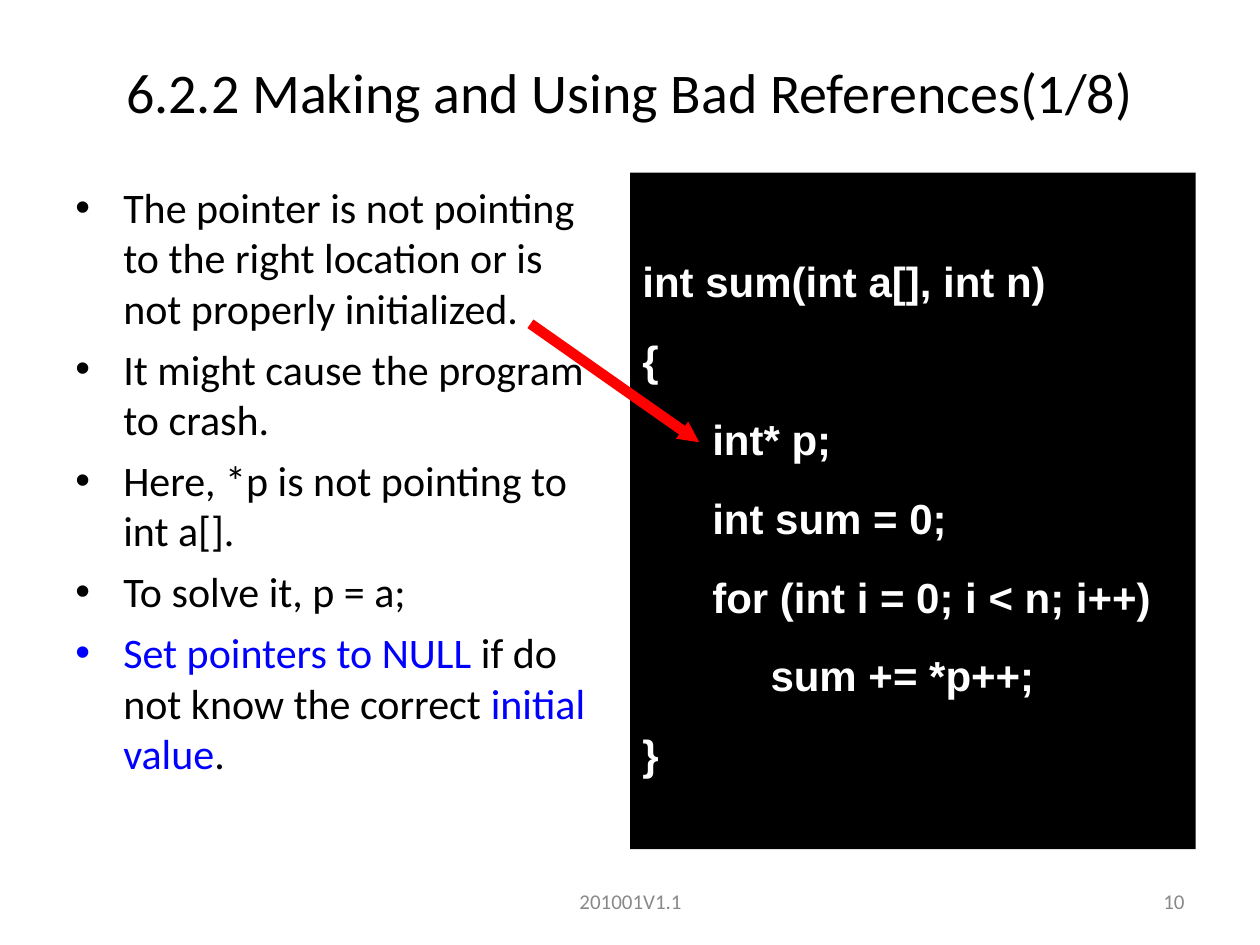
"""Build the slide on making and using bad references."""
from dataclasses import dataclass

from lxml.etree import SubElement
from pptx import Presentation
from pptx.dml.color import RGBColor as Rgb
from pptx.enum.shapes import MSO_CONNECTOR as Connector, MSO_SHAPE as Shape
from pptx.enum.text import MSO_ANCHOR as Anchor, PP_ALIGN as Align
from pptx.oxml.ns import qn
from pptx.util import Inches, Pt


@dataclass(frozen=True)
class Theme:
    body_font: str = "Calibri"
    code_font: str = "Arial"
    ink: str = "000000"
    accent: str = "0000FF"
    muted: str = "898989"
    code_ink: str = "FFFFFF"
    arrow: str = "FF0000"
    title_size: int = 32
    body_size: int = 24
    footer_size: int = 12
    arrow_width: int = 6
    bullet_gap: float = 6
    code_gap: float = 16.25


@dataclass(frozen=True)
class Box:
    left: float
    top: float
    width: float
    height: float

    def lengths(self) -> tuple:
        return tuple(map(Inches, (self.left, self.top, self.width, self.height)))


@dataclass(frozen=True)
class Label:
    text: str
    box: Box
    size: int
    color: str
    align: Align


@dataclass(frozen=True)
class Span:
    text: str
    color: str


THEME = Theme()
LABELS = [
    Label("201001V1.1", Box(3.42, 6.95, 3.17, 0.4), THEME.footer_size, THEME.muted, Align.CENTER),
    Label("10", Box(7.17, 6.95, 2.33, 0.4), THEME.footer_size, THEME.muted, Align.RIGHT),
    Label("6.2.2 Making and Using Bad References(1/8)", Box(0, 0.3, 10, 0.85),
          THEME.title_size, THEME.ink, Align.CENTER),
]
BULLETS = [
    [Span("The pointer is not pointing to the right location or is not properly initialized.",
          THEME.ink)],
    [Span("It might cause the program to crash.", THEME.ink)],
    [Span("Here, *p is not pointing to int a[].", THEME.ink)],
    [Span("To solve it, p = a;", THEME.ink)],
    [Span("Set pointers to NULL ", THEME.accent), Span("if do not know the correct ", THEME.ink),
     Span("initial value", THEME.accent), Span(".", THEME.ink)],
]
CODE = """int sum(int a[], int n)
{
      int* p;
      int sum = 0;
      for (int i = 0; i < n; i++)
           sum += *p++;
}"""


def style(run, font: str, size: int, color: str, bold: bool = False) -> None:
    """Format one run."""
    run.font.name = font
    run.font.size = Pt(size)
    run.font.bold = bold
    run.font.color.rgb = Rgb.from_string(color)


def draw_label(slide, label: Label) -> None:
    """Draw a single line of text centred vertically in its box."""
    frame = slide.shapes.add_textbox(*label.box.lengths()).text_frame
    frame.word_wrap = True
    frame.vertical_anchor = Anchor.MIDDLE
    frame.text = label.text
    paragraph = frame.paragraphs[0]
    paragraph.alignment = label.align
    style(paragraph.runs[0], THEME.body_font, label.size, label.color)


def add_bullet(paragraph, color: str) -> None:
    """Give a paragraph a hanging round bullet."""
    properties = paragraph._p.get_or_add_pPr()
    indent = Inches(0.38)
    properties.set("marL", str(indent))
    properties.set("indent", str(-indent))
    SubElement(SubElement(properties, qn("a:buClr")), qn("a:srgbClr")).set("val", color)
    SubElement(properties, qn("a:buFont")).set("typeface", THEME.code_font)
    SubElement(properties, qn("a:buChar")).set("char", "•")


def draw_bullets(slide, box: Box, bullets: list[list[Span]]) -> None:
    """Draw the explanation as a bulleted list."""
    frame = slide.shapes.add_textbox(*box.lengths()).text_frame
    frame.word_wrap = True
    for index, spans in enumerate(bullets):
        paragraph = frame.add_paragraph() if index else frame.paragraphs[0]
        add_bullet(paragraph, spans[0].color)
        if index:
            paragraph.space_before = Pt(THEME.bullet_gap)
        for span in spans:
            run = paragraph.add_run()
            run.text = span.text
            style(run, THEME.body_font, THEME.body_size, span.color)


def draw_code(slide, box: Box, code: str) -> None:
    """Draw the code listing on a dark panel."""
    panel = slide.shapes.add_shape(Shape.RECTANGLE, *box.lengths())
    panel.shadow.inherit = False
    panel.fill.solid()
    panel.fill.fore_color.rgb = Rgb.from_string(THEME.ink)
    panel.line.fill.background()
    frame = panel.text_frame
    frame.word_wrap = True
    frame.vertical_anchor = Anchor.TOP
    frame.margin_top = Inches(0.66)
    frame.text = code
    for index, paragraph in enumerate(frame.paragraphs):
        paragraph.alignment = Align.LEFT
        if index:
            paragraph.space_before = Pt(THEME.code_gap)
        style(paragraph.runs[0], THEME.code_font, THEME.body_size, THEME.code_ink, True)


def draw_arrow(slide, start: tuple[float, float], end: tuple[float, float]) -> None:
    """Draw the arrow from the explanation to the faulty line."""
    arrow = slide.shapes.add_connector(Connector.STRAIGHT, *map(Inches, start + end))
    arrow.line.color.rgb = Rgb.from_string(THEME.arrow)
    arrow.line.width = Pt(THEME.arrow_width)
    head = SubElement(arrow.line._get_or_add_ln(), qn("a:tailEnd"))
    for key, value in {"type": "triangle", "w": "sm", "len": "sm"}.items():
        head.set(key, value)
    SubElement(arrow._element.spPr, qn("a:effectLst"))


def main() -> None:
    """Build and save the slide."""
    deck = Presentation()
    deck.slide_width, deck.slide_height = Inches(10), Inches(7.5)
    slide = deck.slides.add_slide(deck.slide_layouts[6])
    for label in LABELS:
        draw_label(slide, label)
    draw_bullets(slide, Box(0.5, 1.39, 4.41, 5.31), BULLETS)
    draw_code(slide, Box(5, 1.37, 4.49, 5.37), CODE)
    draw_arrow(slide, (4.21, 2.57), (5.55, 3.51))
    deck.save("out.pptx")


if __name__ == "__main__":
    main()
